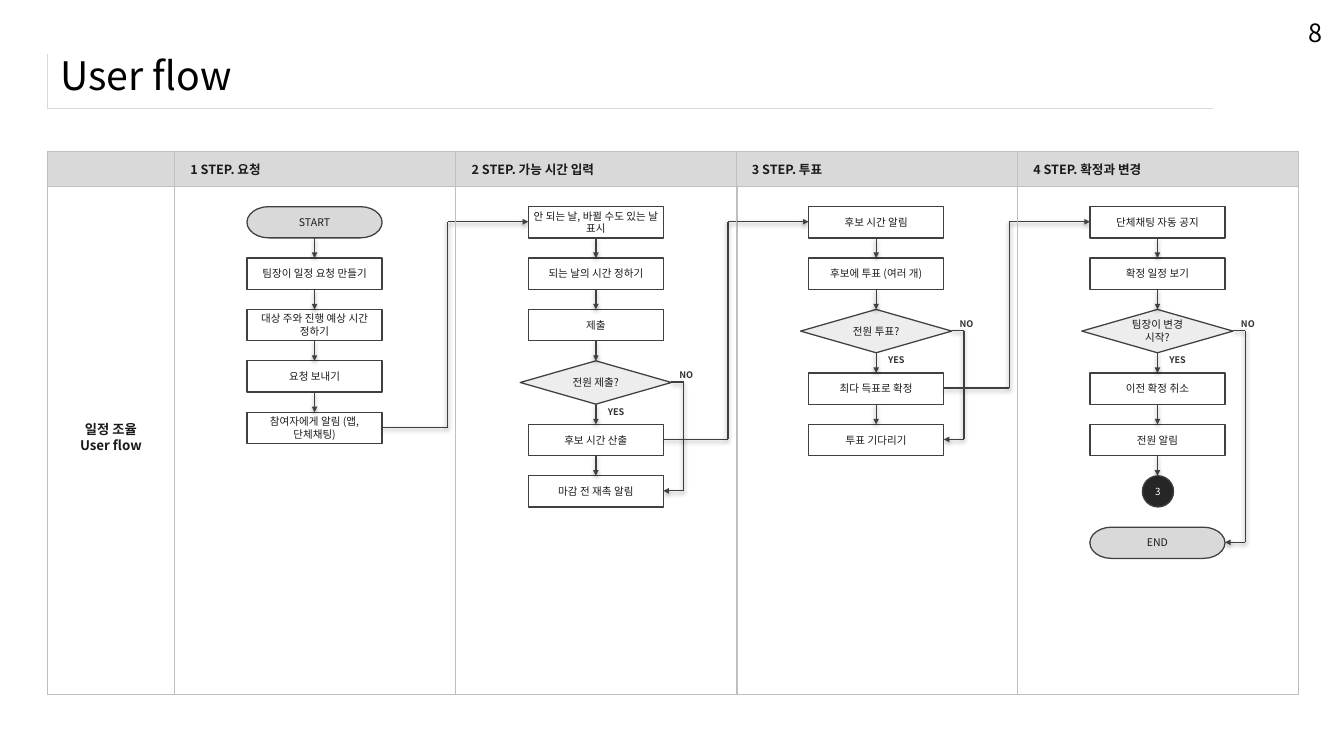
from itertools import pairwise

from lxml import etree
from pptx import Presentation
from pptx.dml.color import RGBColor
from pptx.enum.shapes import MSO_CONNECTOR, MSO_SHAPE
from pptx.enum.text import MSO_ANCHOR, MSO_AUTO_SIZE, PP_ALIGN
from pptx.oxml.ns import qn
from pptx.util import Emu, Pt

STRAIGHT = MSO_CONNECTOR.STRAIGHT
RECT = MSO_SHAPE.RECTANGLE
LEFT, CENTER = PP_ALIGN.LEFT, PP_ALIGN.CENTER
TOP, MIDDLE = MSO_ANCHOR.TOP, MSO_ANCHOR.MIDDLE
GROW = MSO_AUTO_SIZE.SHAPE_TO_FIT_TEXT
FONT = "Noto Sans CJK KR"
COLORS = {
    "black": "000000", "ink": "1A1A1A", "label": "333333", "flow": "404040",
    "dark": "262626", "grid": "BFBFBF", "gray": "D9D9D9", "pale": "EDEDED",
    "white": "FFFFFF",
}

# Table frame and flow grid, 100 px to the inch
FRAME_X, FRAME_Y, HEAD_H, BODY_H = 47, 150, 35, 504
SIDE_W, LANE_W = 126, 279
LANE_X = [173 + round(i * 836 / 3) for i in range(4)]
FLOW_Y, GAP = 205, 20
AXIS = 139      # lane edge to the centre of its nodes
NO_RUN = 87     # node centre to the NO branch
LANE_RUN = 8    # next lane's edge back to the linking line

# Node kind: shape, width, height, fill, text colour, text size
KINDS = {
    "end": (MSO_SHAPE.FLOWCHART_TERMINATOR, 134, 31, "gray", "ink", 7.5),
    "step": (MSO_SHAPE.FLOWCHART_PROCESS, 134, 31, "white", "ink", 7.5),
    "ask": (MSO_SHAPE.FLOWCHART_DECISION, 150, 43, "pale", "ink", 7.5),
    "jump": (MSO_SHAPE.FLOWCHART_CONNECTOR, 31, 31, "dark", "white", 7),
}

# Heading, nodes, row the NO branch goes to, row that leads to the next lane
LANES = [
    ("1 STEP. 요청",
     [("end", "START"), ("step", "팀장이 일정 요청 만들기"),
      ("step", "대상 주와 진행 예상 시간 정하기"), ("step", "요청 보내기"),
      ("step", "참여자에게 알림 (앱, 단체채팅)")], None, 4),
    ("2 STEP. 가능 시간 입력",
     [("step", "안 되는 날, 바뀔 수도 있는 날 표시"),
      ("step", "되는 날의 시간 정하기"), ("step", "제출"), ("ask", "전원 제출?"),
      ("step", "후보 시간 산출"), ("step", "마감 전 재촉 알림")], 5, 4),
    ("3 STEP. 투표",
     [("step", "후보 시간 알림"), ("step", "후보에 투표 (여러 개)"),
      ("ask", "전원 투표?"), ("step", "최다 득표로 확정"),
      ("step", "투표 기다리기")], 4, 3),
    ("4 STEP. 확정과 변경",
     [("step", "단체채팅 자동 공지"), ("step", "확정 일정 보기"),
      ("ask", "팀장이 변경 시작?"), ("step", "이전 확정 취소"),
      ("step", "전원 알림"), ("jump", "3"), ("end", "END")], 6, None),
]


def px(n):
    return Emu(n * 9144)


def rgb(name):
    return RGBColor.from_string(COLORS[name])


def write(tf, text, size=9, color="ink", bold=False, align=LEFT, anchor=TOP,
          wrap=True):
    tf.word_wrap = wrap
    tf.vertical_anchor = anchor
    for i, line in enumerate(text.split("\n")):
        p = tf.add_paragraph() if i else tf.paragraphs[0]
        p.alignment = align
        r = p.add_run()
        r.text = line
        r.font.size = Pt(size)
        r.font.bold = bold
        r.font.color.rgb = rgb(color)
        r.font.name = FONT
        ea = etree.SubElement(r.font._element, qn("a:ea"))
        ea.set("typeface", FONT)


def add_text(s, x, y, w, h, text, **fmt):
    tf = s.shapes.add_textbox(px(x), px(y), px(w), px(h)).text_frame
    write(tf, text, **fmt)
    tf.auto_size = GROW


def add_box(s, shape, x, y, w, h, fill, line, width):
    sp = s.shapes.add_shape(shape, px(x), px(y), px(w), px(h))
    sp.shadow.inherit = False
    if fill:
        sp.fill.solid()
        sp.fill.fore_color.rgb = rgb(fill)
    else:
        sp.fill.background()
    sp.line.color.rgb = rgb(line)
    sp.line.width = Pt(width)
    return sp


def add_title_frame(s, x, y, w, h):
    """One-cell table behind the title, ruled at the left and the bottom."""
    frame = s.shapes.add_table(1, 1, px(x), px(y), px(w), px(h))
    table = frame.table
    table.first_row = table.horz_banding = False
    cell = table.cell(0, 0)
    tcPr = cell._tc.get_or_add_tcPr()
    for side in ("lnL", "lnR", "lnT", "lnB"):
        ln = etree.SubElement(tcPr, qn("a:" + side))
        if side in ("lnL", "lnB"):
            ln.set("w", str(Pt(0.25)))
            fill = etree.SubElement(ln, qn("a:solidFill"))
            etree.SubElement(fill, qn("a:srgbClr")).set("val", COLORS["gray"])
        else:
            etree.SubElement(ln, qn("a:noFill"))
    cell.fill.background()
    s.shapes.title._element.addprevious(frame._element)


def add_route(s, *points):
    """Straight runs through the points, with an arrowhead on the last one.

    The runs keep the soft shadow of the theme.
    """
    for start, end in pairwise(points):
        cx = s.shapes.add_connector(STRAIGHT, *map(px, start + end))
        cx.line.color.rgb = rgb("flow")
        cx.line.width = Pt(0.9)
    tail = etree.SubElement(cx.line._get_or_add_ln(), qn("a:tailEnd"))
    for key, value in (("type", "triangle"), ("w", "sm"), ("len", "sm")):
        tail.set(key, value)


def add_node(s, kind, text, center, y):
    shape, w, h, fill, color, size = KINDS[kind]
    sp = add_box(s, shape, center - w // 2, y, w, h, fill, "flow", 0.9)
    tf = sp.text_frame
    tf.margin_left = tf.margin_right = px(3)
    tf.margin_top = tf.margin_bottom = px(1)
    write(tf, text, size=size, color=color, align=CENTER, anchor=MIDDLE)


def add_column(s, x, w):
    add_box(s, RECT, x, FRAME_Y, w, HEAD_H, "gray", "grid", 0.75)
    add_box(s, RECT, x, FRAME_Y + HEAD_H, w, BODY_H, None, "grid", 0.75)


def add_lane(s, lane_x, heading, nodes, no_row, link_row, next_x):
    add_column(s, lane_x, LANE_W)
    add_text(s, lane_x + 6, FRAME_Y + 6, 267, 24, heading, bold=True)

    # Nodes, one under the other
    center = lane_x + AXIS
    tops, y = [], FLOW_Y
    for kind, text in nodes:
        add_node(s, kind, text, center, y)
        tops.append(y)
        y += KINDS[kind][2] + GAP
    mids = [top + KINDS[kind][2] // 2 for top, (kind, _) in zip(tops, nodes)]
    right = center + KINDS["step"][1] // 2

    # Arrows down, and the two ways out of a decision
    for i, (kind, _) in enumerate(nodes):
        if kind != "jump" and i + 1 < len(nodes):
            add_route(s, (center, tops[i + 1] - GAP), (center, tops[i + 1]))
        if kind == "ask":
            bend = center + NO_RUN
            add_route(s, (center + 75, mids[i]), (bend, mids[i]),
                      (bend, mids[no_row]), (right, mids[no_row]))
            label = {"size": 6.5, "color": "label", "bold": True}
            add_text(s, center + 2, tops[i] + 40, 39, 16, "YES", **label)
            add_text(s, center + 73, tops[i] + 4, 39, 16, "NO", **label)

    # Link to the first node of the next lane
    if link_row is not None:
        bend = next_x - LANE_RUN
        next_left = next_x + AXIS - KINDS["step"][1] // 2
        add_route(s, (right, mids[link_row]), (bend, mids[link_row]),
                  (bend, mids[0]), (next_left, mids[0]))


def main():
    prs = Presentation()
    prs.slide_width, prs.slide_height = px(1333), px(750)
    s = prs.slides.add_slide(prs.slide_layouts[5])

    # Title, its ruled frame and the page number
    title = s.shapes.title
    title.left, title.top, title.width, title.height = map(px, (50, 41, 1249, 67))
    write(title.text_frame, "User flow", size=28, color="black", anchor=MIDDLE)
    add_title_frame(s, 47, 54, 1156, 53)
    add_text(s, 1288, 12, 27, 25, "8", size=18, color="black", wrap=False)

    # Side column and the four lanes
    add_column(s, FRAME_X, SIDE_W)
    add_text(s, 51, 413, 118, 47, "일정 조율\nUser flow", size=9.5, bold=True,
             align=CENTER)
    for lane_x, next_x, lane in zip(LANE_X, LANE_X[1:] + [None], LANES):
        add_lane(s, lane_x, *lane, next_x)

    prs.save("out.pptx")


if __name__ == "__main__":
    main()
